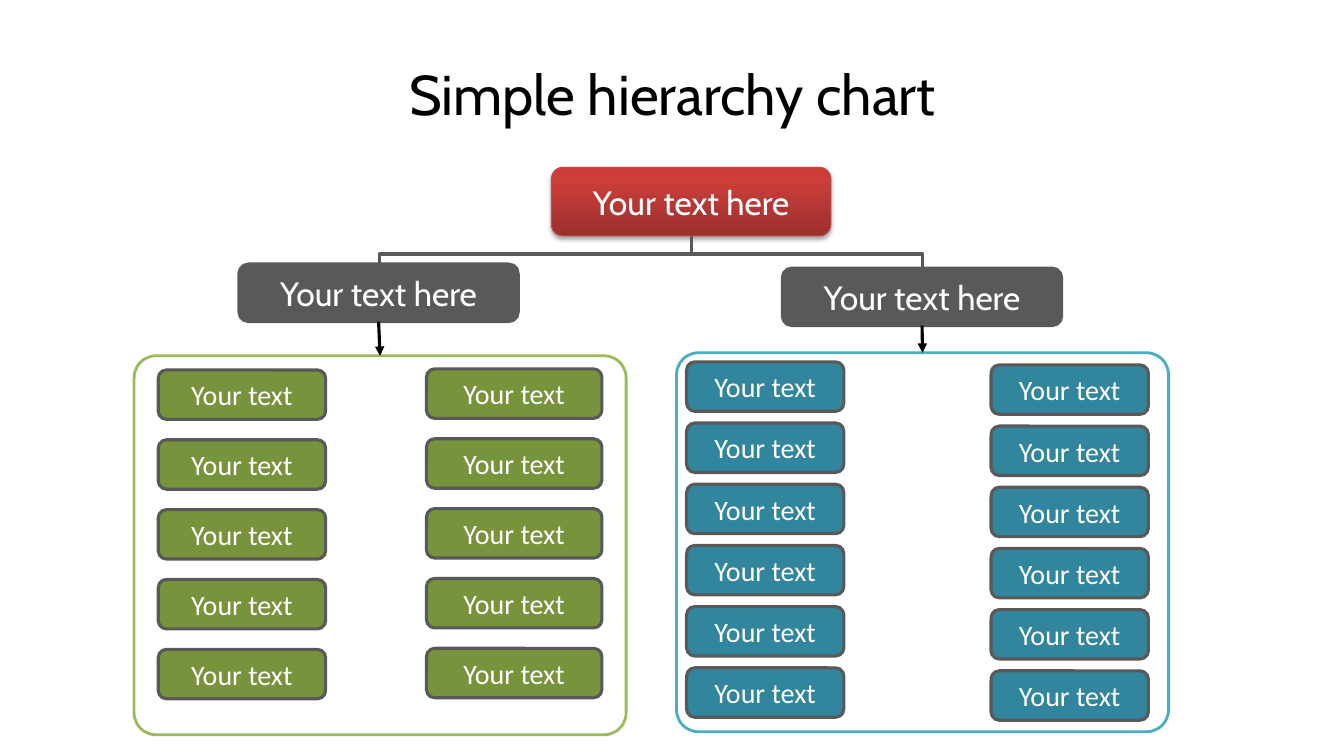
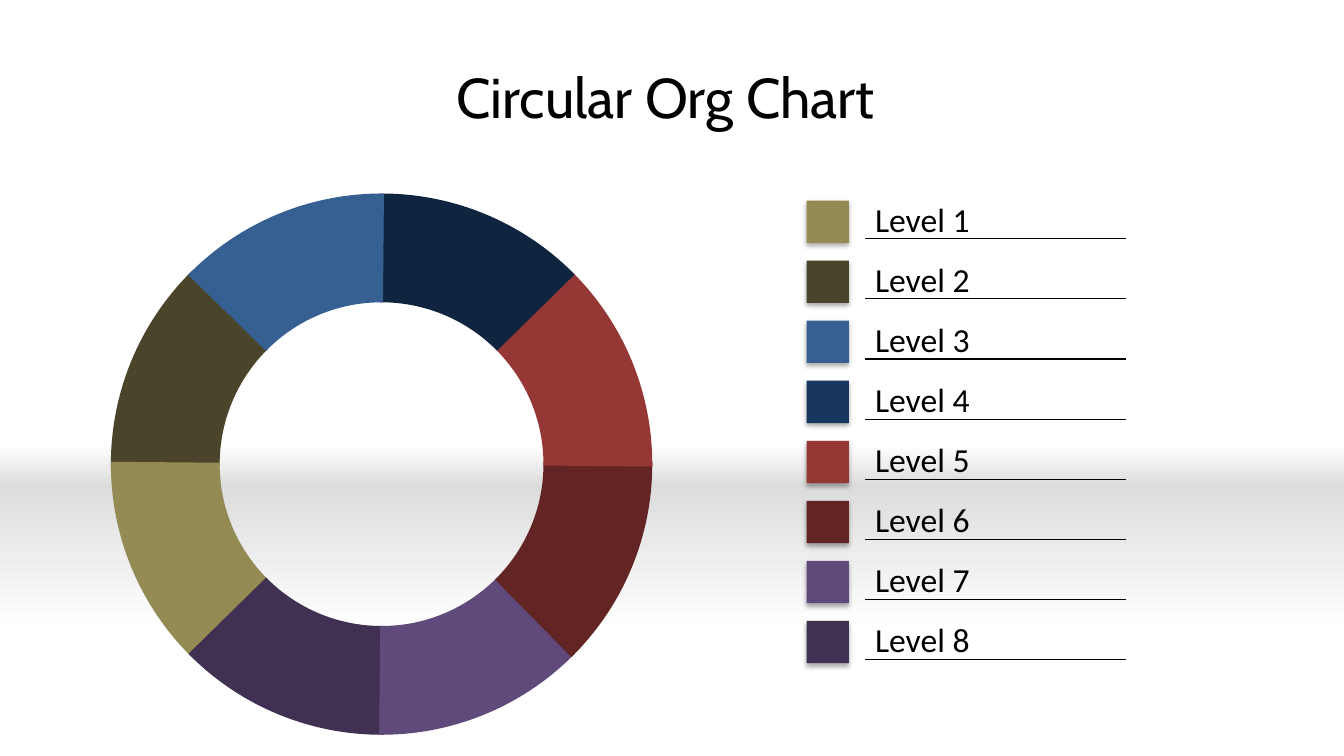
from lxml import etree
from pptx import Presentation
from pptx.dml.color import RGBColor
from pptx.enum import shapes, text
from pptx.oxml.ns import qn
from pptx.util import Inches, Pt

BLACK = RGBColor(0x00, 0x00, 0x00)
WHITE = RGBColor(0xFF, 0xFF, 0xFF)
GRAY = RGBColor(0x59, 0x59, 0x59)
SILVER = RGBColor(0xDD, 0xDD, 0xDD)
ASH = RGBColor(0xDB, 0xDB, 0xDB)
GREEN = RGBColor(0x77, 0x93, 0x3C)
LIME = RGBColor(0x9B, 0xBB, 0x59)
TEAL = RGBColor(0x31, 0x85, 0x9C)
AQUA = RGBColor(0x4B, 0xAC, 0xC6)
CORAL = RGBColor(0xBF, 0x4C, 0x48)
REDS = [(0, RGBColor(0xCE, 0x3B, 0x37)), (20, RGBColor(0xCB, 0x3E, 0x3A)),
        (100, RGBColor(0x9C, 0x2F, 0x2D))]
NAVY = RGBColor(0x17, 0x37, 0x5E)
INK = RGBColor(0x0F, 0x24, 0x3E)
LEVELS = [RGBColor(0x94, 0x8A, 0x54), RGBColor(0x4A, 0x45, 0x2A),
          RGBColor(0x37, 0x60, 0x92), NAVY,
          RGBColor(0x95, 0x37, 0x35), RGBColor(0x63, 0x25, 0x23),
          RGBColor(0x60, 0x4A, 0x7B), RGBColor(0x40, 0x31, 0x52)]
HEAD, BODY = "Cabin", "Calibri"
SHAPE, LINE = shapes.MSO_SHAPE, shapes.MSO_CONNECTOR


def write(shape, words, size=24, font=HEAD, color=WHITE,
          align=text.PP_ALIGN.CENTER, anchor=text.MSO_ANCHOR.MIDDLE, wrap=True):
    frame = shape.text_frame
    frame.word_wrap = wrap
    frame.vertical_anchor = anchor
    para = frame.paragraphs[0]
    para.alignment = align
    run = para.add_run()
    run.text = words
    run.font.size, run.font.name = Pt(size), font
    run.font.color.rgb = color


def draw(slide, kind, box, fill=None, line=None, width=2.25):
    shape = slide.shapes.add_shape(kind, *map(Inches, box))
    shape.shadow.inherit = False
    if fill is None:
        shape.fill.background()
    else:
        shape.fill.solid()
        shape.fill.fore_color.rgb = fill
    if line is None:
        shape.line.fill.background()
    else:
        shape.line.color.rgb = line
        shape.line.width = Pt(width)
    return shape


def blend(shape, stops):
    """Fill from top to bottom with (percent, colour) stops."""
    shape.fill.gradient()
    shape.fill.gradient_angle = 270
    items = shape._element.spPr.find(qn("a:gradFill")).find(qn("a:gsLst"))
    for item in list(items):
        items.remove(item)
    for place, color in stops:
        stop = etree.SubElement(items, qn("a:gs"), pos=str(place * 1000))
        etree.SubElement(stop, qn("a:srgbClr"), val=str(color))


def shade(shape, alpha, blur, drop):
    """Cast a black shadow straight down; blur and drop in points."""
    effects = shape._element.spPr.find(qn("a:effectLst"))
    outer = etree.SubElement(effects, qn("a:outerShdw"), blurRad=str(Pt(blur)),
                             dist=str(Pt(drop)), dir="5400000", rotWithShape="0")
    color = etree.SubElement(outer, qn("a:srgbClr"), val=str(BLACK))
    etree.SubElement(color, qn("a:alpha"), val=str(alpha * 1000))


def link(slide, start, end, kind=LINE.STRAIGHT, color=BLACK, width=2.25, arrow=False):
    line = slide.shapes.add_connector(kind, *map(Inches, (*start, *end)))
    line.line.color.rgb = color
    line.line.width = Pt(width)
    props = line._element.spPr
    if arrow:
        etree.SubElement(props.find(qn("a:ln")), qn("a:tailEnd"), type="triangle")
    etree.SubElement(props, qn("a:effectLst"))
    return line


def elbow(slide, start, end):
    """Go down, across and down again: a sideways elbow, turned upright."""
    (x1, y1), (x2, y2) = start, end
    wide, high = y2 - y1, abs(x2 - x1)
    left, top = (x1 + x2 - wide) / 2, (y1 + y2 - high) / 2
    line = link(slide, (left, top), (left + wide, top + high), LINE.ELBOW, GRAY)
    frame = line._element.spPr.find(qn("a:xfrm"))
    if x2 < x1:
        frame.set("rot", "5400000")
    else:
        frame.set("rot", "16200000")
        frame.set("flipH", "1")


def title(slide, words, box):
    write(slide.shapes.add_textbox(*map(Inches, box)), words, size=40, color=BLACK)


def branch(slide, box, head, fill, edge, columns, rows, pitch):
    """Head box with an arrow to a frame; columns are (x, y, width) in the frame."""
    left, top = box[:2]
    label = draw(slide, SHAPE.ROUNDED_RECTANGLE, head, GRAY, GRAY)
    write(label, "Your text here")
    frame = draw(slide, SHAPE.ROUNDED_RECTANGLE, box, line=edge, width=2)
    frame.adjustments[0] = 0.058
    for x, y, width in columns:
        for row in range(rows):
            cell = (left + x, top + y + row * pitch, width, 0.49)
            node = draw(slide, SHAPE.ROUNDED_RECTANGLE, cell, fill, GRAY)
            write(node, "Your text", size=20, font=BODY)
    arrow = link(slide, (0, 0), (1, 1), arrow=True)
    arrow.begin_connect(label, 2)
    arrow.end_connect(frame, 0)


def tree(slide):
    title(slide, "Simple hierarchy chart", (0.67, 0.3, 12, 1.25))
    root = draw(slide, SHAPE.ROUNDED_RECTANGLE, (5.47, 1.66, 2.77, 0.68),
                line=CORAL, width=0.75)
    blend(root, REDS)
    shade(root, 35, 3.1, 1.8)
    write(root, "Your text here")
    for x in (3.76, 9.15):
        elbow(slide, (6.86, 2.34), (x, 2.7))
    branch(slide, (1.33, 3.53, 4.88, 3.76), (2.37, 2.62, 2.77, 0.57), GREEN, LIME,
           [(0.24, 0.14, 1.66), (2.9, 0.13, 1.74)], rows=5, pitch=0.693)
    branch(slide, (6.71, 3.5, 4.88, 3.76), (7.76, 2.66, 2.77, 0.57), TEAL, AQUA,
           [(0.1, 0.09, 1.56), (3.12, 0.12, 1.56)], rows=6, pitch=0.607)


def floor(slide):
    for top, high, stops in ((4.83, 1.42, [(0, SILVER), (100, WHITE)]),
                             (4.41, 0.43, [(0, WHITE), (100, ASH)])):
        blend(draw(slide, SHAPE.RECTANGLE, (0, top, 13.33, high)), stops)


def ring(slide, box):
    """Eight arcs, clockwise from lower left, each slightly over the one below."""
    for place in (1, 0, 7, 6, 5, 4, 3, 2):
        fill = INK if place == 3 else LEVELS[place]
        arc = draw(slide, SHAPE.BLOCK_ARC, box, fill)
        start = 134.4 + 45 * place
        for spot, angle in enumerate((start, start + 46.1)):
            arc.adjustments[spot] = angle % 360 * 0.6
        arc.adjustments[2] = 0.201


def legend(slide, left, top, pitch):
    for place, fill in enumerate(LEVELS):
        y = top + place * pitch
        key = draw(slide, SHAPE.RECTANGLE, (left, y + 0.07, 0.42, 0.42), fill)
        shade(key, 32, 3.5, 2.2)
        link(slide, (left + 0.58, y + 0.45), (left + 3.17, y + 0.45), width=0.75)
        label = slide.shapes.add_textbox(*map(Inches, (left + 0.58, y, 1.15, 0.5)))
        write(label, f"Level {place + 1}", font=BODY, color=BLACK, wrap=False,
              align=text.PP_ALIGN.LEFT, anchor=text.MSO_ANCHOR.TOP)


def circle(slide):
    floor(slide)
    title(slide, "Circular Org Chart", (2.1, 0.33, 9, 1.25))
    ring(slide, (1.1, 1.92, 5.37, 5.37))
    legend(slide, 8, 1.92, 4.17 / 7)


def main():
    deck = Presentation()
    deck.slide_width, deck.slide_height = Inches(13.33), Inches(7.5)
    for build in (tree, circle):
        build(deck.slides.add_slide(deck.slide_layouts[6]))
    deck.save("out.pptx")


if __name__ == "__main__":
    main()
